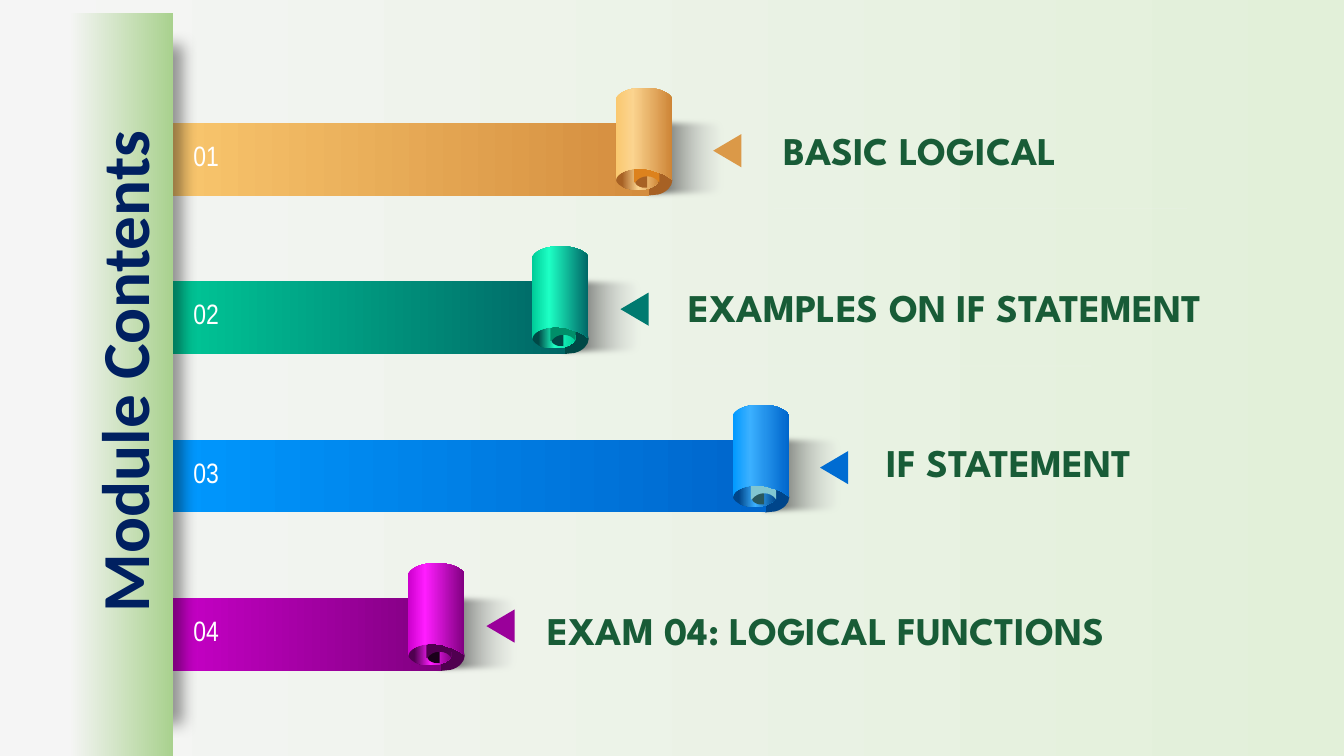
from dataclasses import dataclass

from lxml.etree import SubElement
from pptx import Presentation
from pptx.dml.color import RGBColor
from pptx.enum.shapes import MSO_CONNECTOR, MSO_SHAPE
from pptx.enum.text import MSO_ANCHOR, MSO_AUTO_SIZE, PP_ALIGN
from pptx.oxml.ns import qn
from pptx.util import Inches, Pt

RECTANGLE = MSO_SHAPE.RECTANGLE
OVAL = MSO_SHAPE.OVAL
TRIANGLE = MSO_SHAPE.ISOSCELES_TRIANGLE
STRAIGHT = MSO_CONNECTOR.STRAIGHT
TOP = MSO_ANCHOR.TOP
GROW = MSO_AUTO_SIZE.SHAPE_TO_FIT_TEXT
CENTER = PP_ALIGN.CENTER

CELL = Inches(0.1)
COLUMNS, ROWS = 133.33, 75
FIRST_ROW, ROW_STEP = 8.7, 15.72
BAR_LEFT = 15.1

OUTER_CURL = [(5.6, 9.2), (5.6, 9.8, 5, 10.4, 4.2, 10.6), (3.2, 10.7), (3.2, 7.6),
              (4.2, 7.7), (5, 8, 5.6, 8.5, 5.6, 9.2)]
INNER_CURL = [(1.9, 9.3), (1.9, 9.6, 2.2, 9.8, 2.6, 9.9), (3.1, 9.9), (3.1, 8.7),
              (2.6, 8.8), (2.2, 8.9, 1.9, 9.1, 1.9, 9.3)]
HOLLOW = [(1.8, 5.1), (2, 4.75, 2.53, 4.58, 3.05, 4.58), (3.58, 4.58, 4.1, 4.75, 4.3, 5.1),
          (4.3, 9.4), (4, 9, 3.6, 8.8, 3.1, 8.8), (2.6, 8.8, 2.2, 9, 1.9, 9.4), (1.8, 9.4)]
ROLL = [(2.8, 0), (3.9, 0, 5.1, 0.3, 5.55, 1), (5.55, 9.1), (5.2, 8.8, 4.8, 8.6, 4.3, 8.4),
        (3.9, 8.3), (3.4, 8.1), (3.1, 8.1, 2.8, 8, 2.4, 8), (1.3, 8, 0.3, 8.4, 0.1, 8.9),
        (0, 9.2), (0, 1), (0.5, 0.3, 1.6, 0, 2.8, 0)]


@dataclass(frozen=True)
class Stop:
    share: int
    color: str
    opacity: int = 100


@dataclass(frozen=True)
class Topic:
    number: str
    name: str
    roll_left: float
    arrow_left: float
    name_left: float
    name_top: float
    name_width: float
    underlined: bool
    bar: tuple[str, str]
    roll: tuple[str, str, str]
    rim: str
    curl: str
    inner_curl: str
    hollow: str
    arrow: str


TOPICS = [
    Topic("01", "BASIC LOGICAL", 61.1, 70.5, 76.75, 12, 53, True, ("FAC86F", "D48D3E"),
          ("FAC86F", "FBD48F", "CE8537"), "CE8537", "A76124", "A76124", "DD821D", "DB9948"),
    Topic("02", "EXAMPLES ON IF STATEMENT", 52.8, 61.3, 67.3, 27.6, 56.8, True,
          ("00CC99", "006666"), ("00CC99", "1DFFC4", "006666"), "00CC99", "004846", "004846",
          "008E69", "007A70"),
    Topic("03", "IF STATEMENT", 72.7, 81.1, 87, 43, 42.8, False, ("0099FF", "0066CC"),
          ("0099FF", "3BB0FF", "0066CC"), "00458A", "00458A", "28585E", "81C6D1", "006CD2"),
    Topic("04", "EXAM 04: LOGICAL FUNCTIONS", 40.5, 48, 53.3, 59.7, 74.9, False,
          ("CC00CC", "800080"), ("CC00CC", "FF1DFF", "800080"), "800080", "500050", "1A001A",
          "500050", "9A009A"),
]


def cells(*lengths: float) -> list[int]:
    """Turn grid lengths into slide units."""
    return [round(length * CELL) for length in lengths]


def rgb(color: str) -> RGBColor:
    """Turn a hex string into a colour."""
    return RGBColor.from_string(color)


def set_opacity(color_element, percent: int) -> None:
    """Give a colour element its opacity."""
    SubElement(color_element, qn("a:alpha"), val=str(percent * 1000))


def paint(owner, fill, *stops: Stop) -> None:
    """Fill with one colour, or with a left-to-right gradient."""
    if len(stops) == 1:
        fill.solid()
        fill.fore_color.rgb = rgb(stops[0].color)
        return
    fill.gradient()
    fill.gradient_angle = 0
    ramp = next(owner._element.iter(qn("a:gsLst")))
    for preset in list(ramp):
        ramp.remove(preset)
    for stop in stops:
        entry = SubElement(ramp, qn("a:gs"), pos=str(stop.share * 1000))
        color = SubElement(entry, qn("a:srgbClr"), val=str(rgb(stop.color)))
        if stop.opacity < 100:
            set_opacity(color, stop.opacity)


def finish(shape, *stops: Stop):
    """Paint a shape and take away its outline and shadow."""
    shape.shadow.inherit = False
    shape.line.fill.background()
    paint(shape, shape.fill, *stops)
    return shape


def add_preset(slide, kind, box: tuple[float, ...], *stops: Stop):
    """Add a preset shape in a grid box."""
    return finish(slide.shapes.add_shape(kind, *cells(*box)), *stops)


def add_effect(shape, name: str, **settings: str):
    """Add one effect to a shape."""
    effects = shape._element.spPr.find(qn("a:effectLst"))
    return SubElement(effects, qn(name), **settings)


def add_outline(slide, outline, left: float, top: float, *stops: Stop) -> None:
    """Add a closed outline of lines and cubic curves at a grid point."""
    ends = [cells(*segment[-2:]) for segment in outline]
    builder = slide.shapes.build_freeform(*ends[0], scale=1.0)
    builder.add_line_segments(ends[1:], close=True)
    shape = finish(builder.convert_to_shape(*cells(left, top)), *stops)
    min_x, min_y = map(min, zip(*ends))
    sides = list(shape._element.iter(qn("a:lnTo")))
    for side, segment in zip(sides, outline[1:]):
        if len(segment) == 2:
            continue
        side.tag = qn("a:cubicBezTo")
        side.remove(side[0])
        points = cells(*segment)
        for x, y in zip(points[::2], points[1::2]):
            SubElement(side, qn("a:pt"), x=str(x - min_x), y=str(y - min_y))


def write(frame, wording: str, font_name: str, size: int, color: str, bold: bool = False):
    """Write one run of text and return its paragraph."""
    frame.word_wrap = True
    frame.auto_size = GROW
    frame.vertical_anchor = TOP
    paragraph = frame.paragraphs[0]
    run = paragraph.add_run()
    run.text = wording
    run.font.name, run.font.size, run.font.bold = font_name, Pt(size), bold
    run.font.color.rgb = rgb(color)
    return paragraph


def add_ribbon(slide, topic: Topic, top: float) -> None:
    """Draw a bar that ends in a paper roll."""
    left = topic.roll_left
    shade = add_preset(slide, RECTANGLE, (left + 2.1, top + 2.7, 9.3, 8.6),
                       Stop(0, "000000"), Stop(100, "E9EBEA", 0))
    add_effect(shade, "a:softEdge", rad=str(Pt(5)))
    add_outline(slide, OUTER_CURL, left, top, Stop(0, topic.curl))
    add_preset(slide, RECTANGLE, (BAR_LEFT, top + 3.5, left + 3.3 - BAR_LEFT, 7.2),
               *map(Stop, (0, 100), topic.bar))
    add_preset(slide, OVAL, (left, top + 7.95, 4.3, 2.2),
               *map(Stop, (14, 52, 100), (topic.curl, topic.roll[1], topic.rim)))
    add_outline(slide, INNER_CURL, left, top, Stop(0, topic.inner_curl))
    add_outline(slide, HOLLOW, left, top, Stop(0, topic.hollow))
    add_outline(slide, ROLL, left, top, *map(Stop, (0, 30, 100), topic.roll))


def add_spine(slide) -> None:
    """Draw the vertical band with its shadow."""
    backing = add_preset(slide, RECTANGLE, (11.6, 4.5, 5.5, 67.2), Stop(0, "F4F4F4"))
    shadow = add_effect(backing, "a:outerShdw", blurRad=str(Pt(11)), dist=str(Pt(7)),
                        dir="0", algn="l", rotWithShape="0")
    set_opacity(SubElement(shadow, qn("a:srgbClr"), val="000000"), 40)
    add_preset(slide, RECTANGLE, (6.8, 1.3, 10.4, 73.7), Stop(0, "F5F5F5"), Stop(100, "A9D18E"))


def add_underline(slide, left: float, top: float) -> None:
    """Draw the faint line below a topic name."""
    line = slide.shapes.add_connector(STRAIGHT, *cells(left, top, left + 41, top))
    line.line.width = Pt(0.5)
    line.line.color.rgb = rgb("F2F2F2")
    set_opacity(next(line._element.iter(qn("a:srgbClr"))), 30)
    SubElement(line._element.spPr, qn("a:effectLst"))


def add_caption(slide, topic: Topic, top: float) -> None:
    """Write the number and name of a topic and point the arrow."""
    number = slide.shapes.add_textbox(*cells(18.2, top + 4.55, 5.5, 4.4))
    write(number.text_frame, topic.number, "Arial Narrow", 20, "FFFFFF")
    arrow = add_preset(slide, TRIANGLE, (topic.arrow_left, top + 4.85, 3.3, 2.8),
                       Stop(0, topic.arrow))
    arrow.rotation = 270
    name = slide.shapes.add_textbox(*cells(topic.name_left, topic.name_top, topic.name_width, 5.7))
    write(name.text_frame, topic.name, "League Spartan", 28, "185C37", bold=True)
    if topic.underlined:
        add_underline(slide, topic.name_left, topic.name_top + 8.7)


def add_heading(slide) -> None:
    """Write the slide title upwards along the spine."""
    title = slide.shapes.title
    title.left, title.top, title.width, title.height = cells(-24.6, 32.3, 73.7, 9.1)
    title.rotation = 270
    heading = write(title.text_frame, "Module Contents", "Calibri", 48, "002060", bold=True)
    heading.alignment = CENTER
    slide.shapes._spTree.append(title._element)


def main() -> None:
    """Build the contents slide."""
    deck = Presentation()
    deck.slide_width, deck.slide_height = cells(COLUMNS, ROWS)
    slide = deck.slides.add_slide(deck.slide_layouts[5])
    paint(slide, slide.background.fill, Stop(0, "F5F5F5"), Stop(100, "E2F0D9"))
    tops = [FIRST_ROW + ROW_STEP * place for place in range(len(TOPICS))]
    for topic, top in zip(TOPICS, tops):
        add_ribbon(slide, topic, top)
    add_spine(slide)
    for topic, top in zip(TOPICS, tops):
        add_caption(slide, topic, top)
    add_heading(slide)
    deck.save("out.pptx")


if __name__ == "__main__":
    main()
